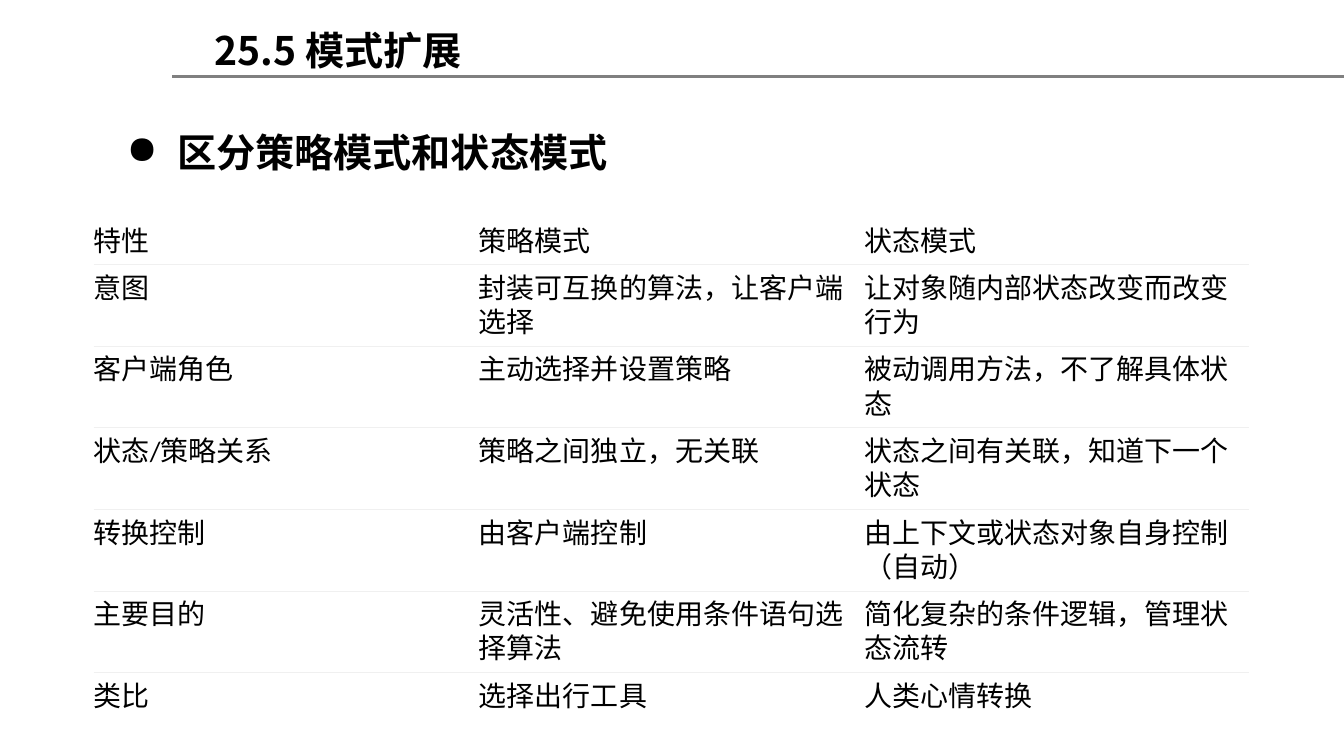
from dataclasses import dataclass

from lxml import etree
from pptx import Presentation, util as u
from pptx.dml.color import RGBColor
from pptx.enum import shapes, text
from pptx.oxml import ns


@dataclass(frozen=True)
class Theme:
    """Colours, fonts and sizes of the slide."""
    ink: str = "000000"
    rule: str = "808080"
    grid: str = "F0F0F0"
    bold: str = "Noto Sans CJK SC"
    head: str = "Lato"
    body: str = "Calibri"
    big: int = 28
    small: int = 20
    thick: float = 0.65
    thin: float = 0.35


THEME = Theme()

ROWS = [
    ("特性", "策略模式", "状态模式"),
    ("意图", "封装可互换的算法，让客户端选择", "让对象随内部状态改变而改变行为"),
    ("客户端角色", "主动选择并设置策略", "被动调用方法，不了解具体状态"),
    ("状态/策略关系", "策略之间独立，无关联", "状态之间有关联，知道下一个状态"),
    ("转换控制", "由客户端控制", "由上下文或状态对象自身控制（自动）"),
    ("主要目的", "灵活性、避免使用条件语句选择算法", "简化复杂的条件逻辑，管理状态流转"),
    ("类比", "选择出行工具", "人类心情转换"),
]


def add_run(para, words, face, size, bold=False):
    """Add one styled run to a paragraph."""
    run = para.add_run()
    run.text = words
    font = run.font
    font.name, font.size, font.bold = face, u.Pt(size), bold
    font.color.rgb = RGBColor.from_string(THEME.ink)
    props = run._r.get_or_add_rPr()
    east = etree.SubElement(props, ns.qn("a:ea"))
    east.set("typeface", face)


def add_label(slide, words, left, top, width, height):
    """Add a bold text box and return its paragraph."""
    box = slide.shapes.add_textbox(*map(u.Inches, (left, top, width, height)))
    box.text_frame.word_wrap = True
    para = box.text_frame.paragraphs[0]
    add_run(para, words, THEME.bold, THEME.big, True)
    return para


def add_bullet(para, indent):
    """Give a paragraph a round bullet and a hanging indent."""
    props = para._p.get_or_add_pPr()
    props.set("marL", str(u.Inches(indent)))
    props.set("indent", str(-u.Inches(indent)))
    mark = etree.SubElement(props, ns.qn("a:buChar"))
    mark.set("char", "●")


def add_rule(slide, left, right, top):
    """Draw the line under the title."""
    line = slide.shapes.add_connector(
        shapes.MSO_CONNECTOR.STRAIGHT,
        *map(u.Inches, (left, top, right, top)))
    line.line.color.rgb = RGBColor.from_string(THEME.rule)
    line.line.width = u.Pt(2)
    etree.SubElement(line._element.spPr, ns.qn("a:effectLst"))


def set_edges(cell, top, bottom):
    """Set the cell's borders, where a width of zero hides one."""
    props = cell._tc.get_or_add_tcPr()
    edges = {"lnL": 0, "lnR": 0, "lnT": top, "lnB": bottom}
    for spot, (tag, width) in enumerate(edges.items()):
        edge = etree.Element(ns.qn(f"a:{tag}"), w=str(u.Pt(width)))
        if width:
            fill = etree.SubElement(edge, ns.qn("a:solidFill"))
            etree.SubElement(fill, ns.qn("a:srgbClr"), val=THEME.grid)
        else:
            etree.SubElement(edge, ns.qn("a:noFill"))
        props.insert(spot, edge)


def fill_cell(cell, words, face, top, bottom):
    """Write and style one table cell."""
    cell.margin_left, cell.margin_right = 0, u.Inches(0.14)
    cell.margin_top = cell.margin_bottom = u.Inches(0.07)
    cell.fill.background()
    add_run(cell.text_frame.paragraphs[0], words, face, THEME.small)
    set_edges(cell, top, bottom)


def add_grid(slide, left, top, width):
    """Add the comparison table."""
    last = len(ROWS) - 1
    highs = [0.47] + [0.81] * (last - 1) + [0.47]
    frame = slide.shapes.add_table(
        len(ROWS), len(ROWS[0]),
        *map(u.Inches, (left, top, width, sum(highs))))
    table = frame.table
    table.first_row = table.horz_banding = False
    edges = [0, THEME.thick] + [THEME.thin] * (last - 1) + [0]
    for i, words in enumerate(ROWS):
        table.rows[i].height = u.Inches(highs[i])
        face = THEME.body if i else THEME.head
        for j, word in enumerate(words):
            cell = table.cell(i, j)
            fill_cell(cell, word, face, edges[i], edges[i + 1])
            if i == 0:
                cell.vertical_anchor = text.MSO_ANCHOR.MIDDLE


def main():
    """Build and save the slide."""
    deck = Presentation()
    deck.slide_width, deck.slide_height = u.Inches(13.34), u.Inches(7.5)
    slide = deck.slides.add_slide(deck.slide_layouts[6])
    add_rule(slide, 1.71, 13.34, 0.76)
    add_label(slide, "25.5 模式扩展", 2.03, 0.21, 7.56, 0.57)
    topic = add_label(slide, "区分策略模式和状态模式", 1.16, 0.99, 7.8, 0.94)
    add_bullet(topic, 0.5)
    topic.line_spacing = 1.5
    add_grid(slide, 0.93, 2.15, 11.47)
    deck.save("out.pptx")


if __name__ == "__main__":
    main()
